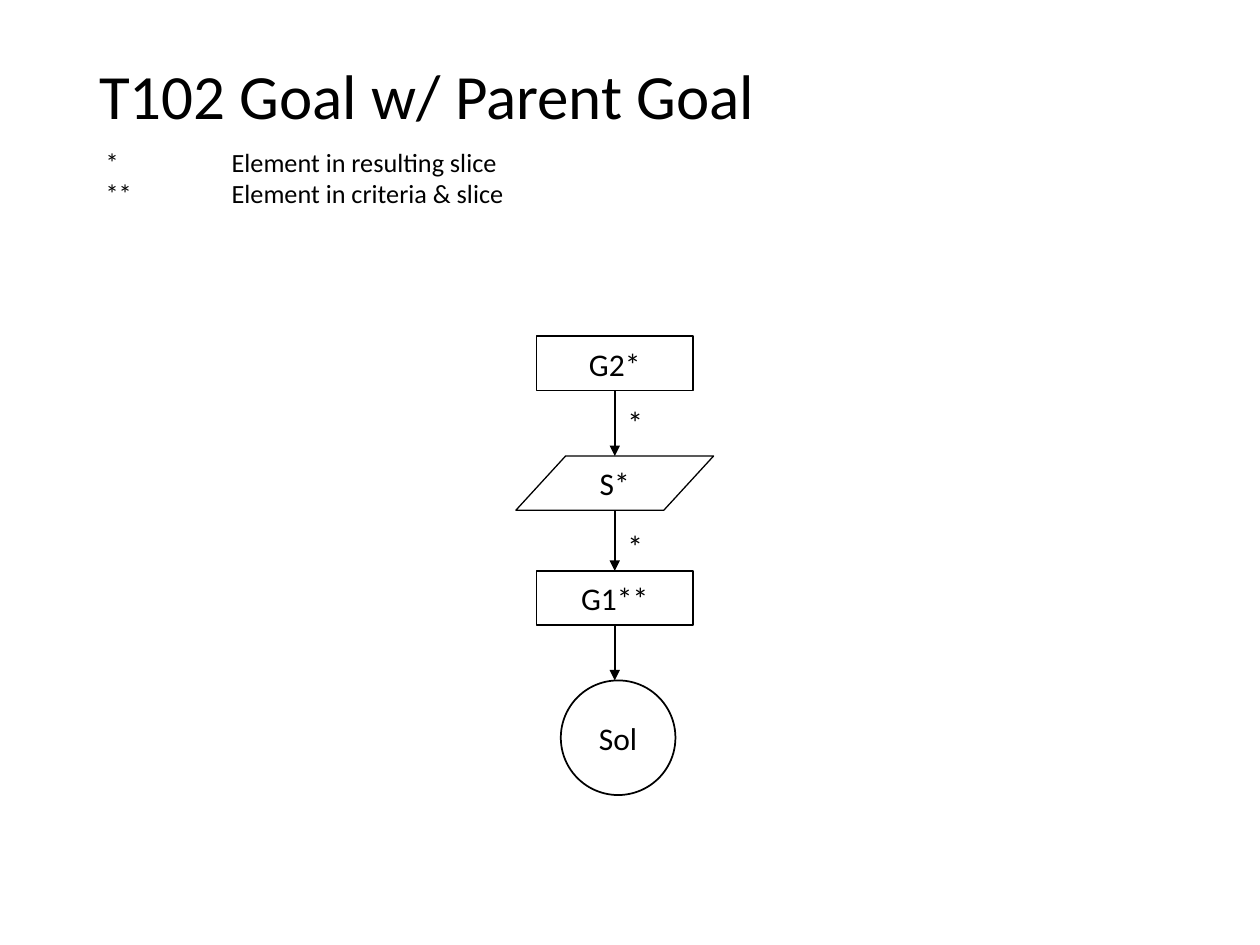
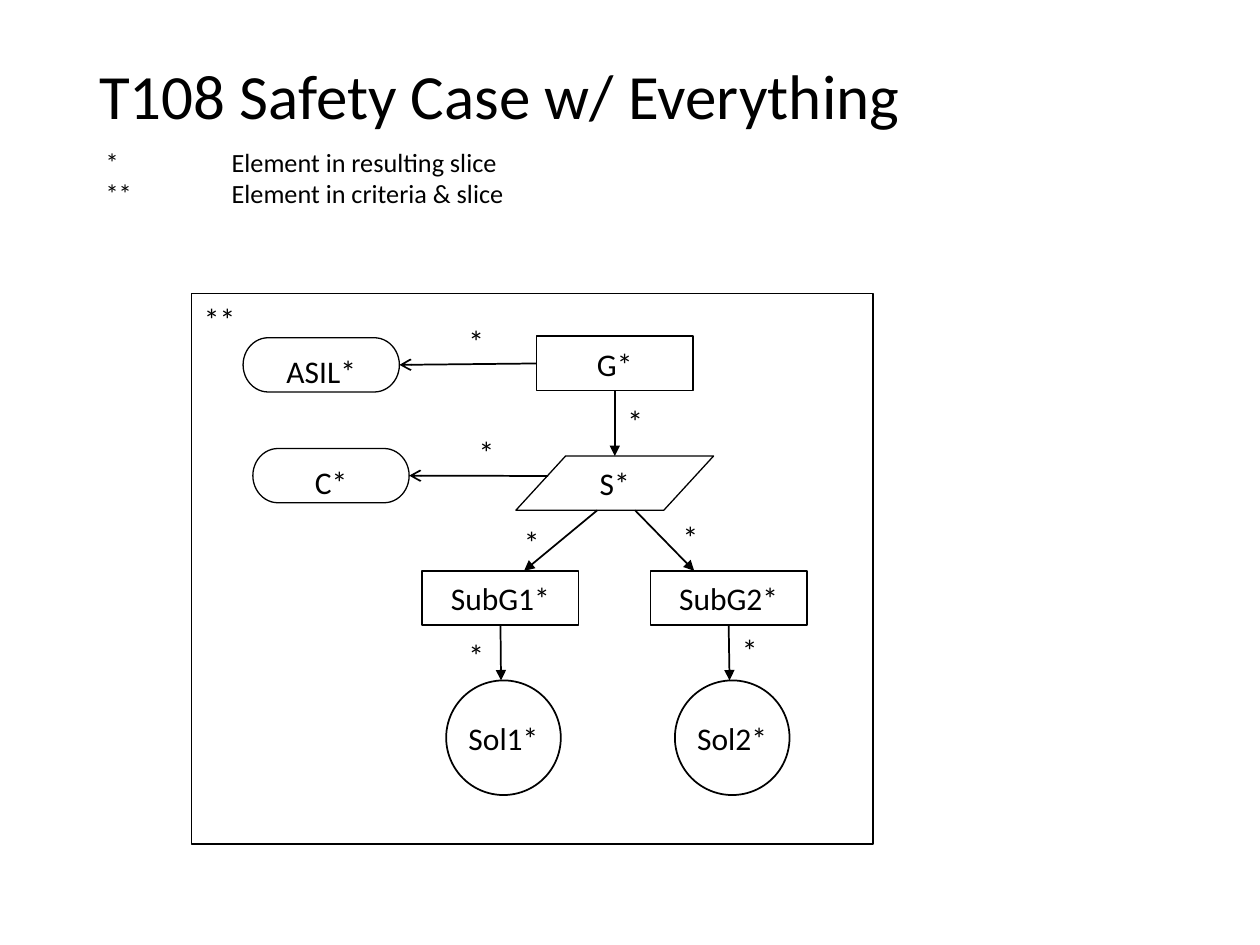
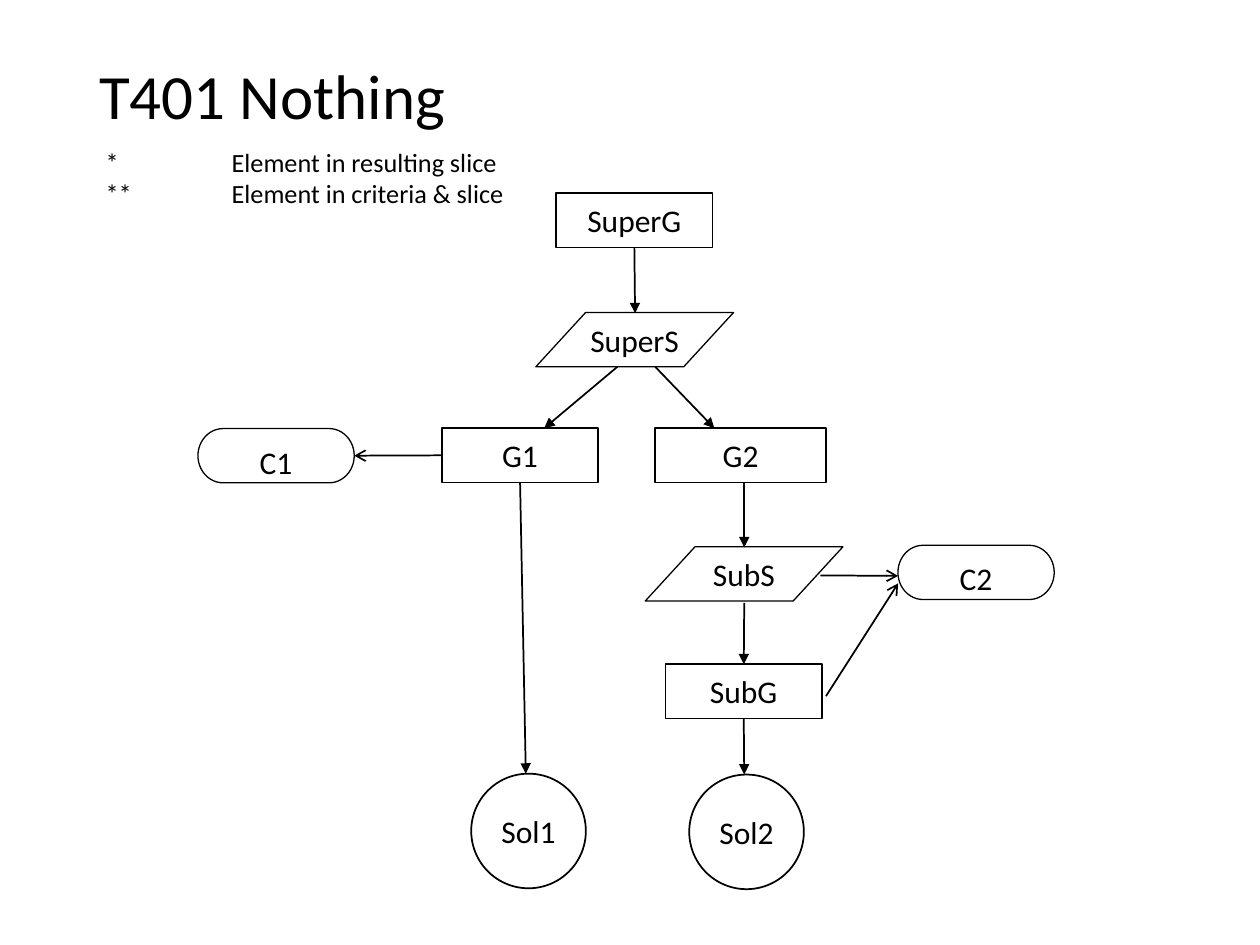
"""Build three safety case slicing diagrams with a shared title and legend style."""
from lxml import etree
from pptx import Presentation
from pptx.dml.color import RGBColor
from pptx.enum.shapes import MSO_CONNECTOR as Connector, MSO_SHAPE as Shape
from pptx.enum.text import MSO_ANCHOR as Anchor, PP_ALIGN as Align
from pptx.oxml.ns import qn
from pptx.util import Pt

INK, PAPER = "000000", "FFFFFF"
FONT = "Calibri"
LEGEND = ["*\tElement in resulting slice", "**\tElement in criteria & slice"]
LEGEND_TAB = 72
TOP, LEFT, BOTTOM, RIGHT = range(4)

KINDS = {
    "frame": (Shape.RECTANGLE, 389.5, 314.6, 0.94, Anchor.TOP, Align.LEFT),
    "goal": (Shape.RECTANGLE, 89.3, 31, 0.94, Anchor.MIDDLE, Align.CENTER),
    "wide goal": (Shape.RECTANGLE, 97.9, 31, 0.94, Anchor.MIDDLE, Align.CENTER),
    "strategy": (Shape.PARALLELOGRAM, 113, 31, 0.75, Anchor.MIDDLE, Align.CENTER),
    "solution": (Shape.OVAL, 65.5, 65.5, 1, Anchor.MIDDLE, Align.CENTER),
    "context": (Shape.FLOWCHART_TERMINATOR, 89.3, 31, 0.75, Anchor.TOP, Align.CENTER),
}

DIAGRAMS = [
    {
        "title": "T102 Goal w/ Parent Goal",
        "nodes": [
            ("goal", "G2*", 351.3, 192.2),
            ("strategy", "S*", 351.3, 260.6),
            ("goal", "G1**", 351.3, 326.2),
            ("solution", "Sol", 353.2, 388.8),
        ],
        "supports": [
            (("G2*", BOTTOM), (351.3, 260.6)),
            ((351.3, 291.6), ("G1**", TOP)),
            (("G1**", BOTTOM), (351.3, 388.8)),
        ],
        "contexts": [],
        "stars": [(351.4, 297.4), (351.4, 226.8)],
    },
    {
        "title": "T108 Safety Case w/ Everything",
        "nodes": [
            ("frame", "**", 304.2, 167.8),
            ("goal", "G*", 351.3, 192.2),
            ("strategy", "S*", 351.3, 260.6),
            ("goal", "SubG1*", 286, 326.2),
            ("goal", "SubG2*", 416.4, 326.2),
            ("solution", "Sol1*", 287.7, 388.8),
            ("solution", "Sol2*", 418.4, 388.8),
            ("context", "C*", 189.2, 256.3),
            ("context", "ASIL*", 183.6, 193),
        ],
        "supports": [
            (("G*", BOTTOM), (351.3, 260.6)),
            ((341.3, 291.6), (299.5, 326.2)),
            ((362.9, 291.6), (396.7, 326.2)),
            (("SubG1*", BOTTOM), (286.3, 388.8)),
            (("SubG2*", BOTTOM), (416.9, 388.8)),
        ],
        "contexts": [
            ((313.2, 272), ("C*", RIGHT)),
            (("G*", LEFT), ("ASIL*", RIGHT)),
        ],
        "stars": [(351.4, 226.1), (266.4, 244.1), (292.3, 295.2), (383, 292.3),
                  (260.6, 360), (416.9, 357.1), (260.6, 180.7)],
    },
    {
        "title": "T401 Nothing",
        "nodes": [
            ("goal", "SuperG", 362.5, 110.4),
            ("strategy", "SuperS", 362.7, 178.6),
            ("goal", "G1", 297.2, 244.7),
            ("wide goal", "G2", 423.2, 244.7),
            ("solution", "Sol1", 302, 442.1),
            ("context", "C1", 157.8, 244.9),
            ("strategy", "SubS", 425.2, 312.5),
            ("goal", "SubG", 425, 379.6),
            ("solution", "Sol2", 426.6, 442.6),
            ("context", "C2", 557.8, 311.6),
        ],
        "supports": [
            (("SuperG", BOTTOM), (362.9, 179)),
            ((352.8, 209.6), (311, 244.7)),
            ((374.4, 209.6), (408.2, 244.7)),
            (("G1", BOTTOM), (300.5, 442.1)),
            ((425.3, 275.7), (425.3, 312.8)),
            ((425.3, 344.5), ("SubG", TOP)),
            (("SubG", BOTTOM), (425.3, 442.6)),
        ],
        "contexts": [
            (("G1", LEFT), ("C1", RIGHT)),
            ((468.8, 328.8), (513.2, 329.1)),
            ((472, 397.8), (513.2, 333.4)),
        ],
        "stars": [],
    },
]


def colour(hex_code):
    return RGBColor.from_string(hex_code)


def write(shape, lines, size, anchor=Anchor.TOP, align=Align.LEFT, tab=None, spacing=None):
    frame = shape.text_frame
    frame.word_wrap = True
    frame.vertical_anchor = anchor
    frame.text = "\n".join(lines)
    for paragraph in frame.paragraphs:
        paragraph.alignment = align
        if spacing:
            paragraph.line_spacing = spacing
        if tab:
            stops = etree.SubElement(paragraph._p.get_or_add_pPr(), qn("a:tabLst"))
            etree.SubElement(stops, qn("a:tab"), pos=str(Pt(tab)), algn="l")
        paragraph.font.name = FONT
        paragraph.font.size = Pt(size)
        paragraph.font.color.rgb = colour(INK)


prs = Presentation()
prs.slide_width, prs.slide_height = Pt(720), Pt(540)

for diagram in DIAGRAMS:
    slide = prs.slides.add_slide(prs.slide_layouts[6])
    shapes = slide.shapes

    legend = shapes.add_textbox(Pt(53.3), Pt(79.9), Pt(298), Pt(44.6))
    write(legend, LEGEND, 15, tab=LEGEND_TAB)
    title = shapes.add_textbox(Pt(49.7), Pt(28.8), Pt(621.4), Pt(56.2))
    write(title, [diagram["title"]], 36, Anchor.MIDDLE, spacing=0.9)

    nodes = {}
    for kind, label, centre, top in diagram["nodes"]:
        preset, width, height, line_width, anchor, align = KINDS[kind]
        node = shapes.add_shape(preset, Pt(centre - width / 2), Pt(top), Pt(width), Pt(height))
        if kind == "strategy":
            node.adjustments[0] = 0.917
        node.shadow.inherit = False
        node.fill.solid()
        node.fill.fore_color.rgb = colour(PAPER)
        node.line.color.rgb = colour(INK)
        node.line.width = Pt(line_width)
        write(node, [label], 18, anchor, align)
        if kind in ("strategy", "solution"):
            node.text_frame.word_wrap = False
        nodes[label] = node

    for relation, head in (("supports", "triangle"), ("contexts", "arrow")):
        for start, end in diagram[relation]:
            begin_joined, end_joined = start[0] in nodes, end[0] in nodes
            x1, y1 = (0, 0) if begin_joined else start
            x2, y2 = (0, 0) if end_joined else end
            link = shapes.add_connector(Connector.STRAIGHT, Pt(x1), Pt(y1), Pt(x2), Pt(y2))
            if begin_joined:
                link.begin_connect(nodes[start[0]], start[1])
            if end_joined:
                link.end_connect(nodes[end[0]], end[1])
            link.line.color.rgb = colour(INK)
            link.line.width = Pt(1)
            etree.SubElement(link.line._get_or_add_ln(), qn("a:tailEnd"), type=head)
            etree.SubElement(link._element.spPr, qn("a:effectLst"))

    for left, top in diagram["stars"]:
        star = shapes.add_textbox(Pt(left), Pt(top), Pt(23), Pt(28.8))
        write(star, ["*"], 18)

prs.save("out.pptx")
